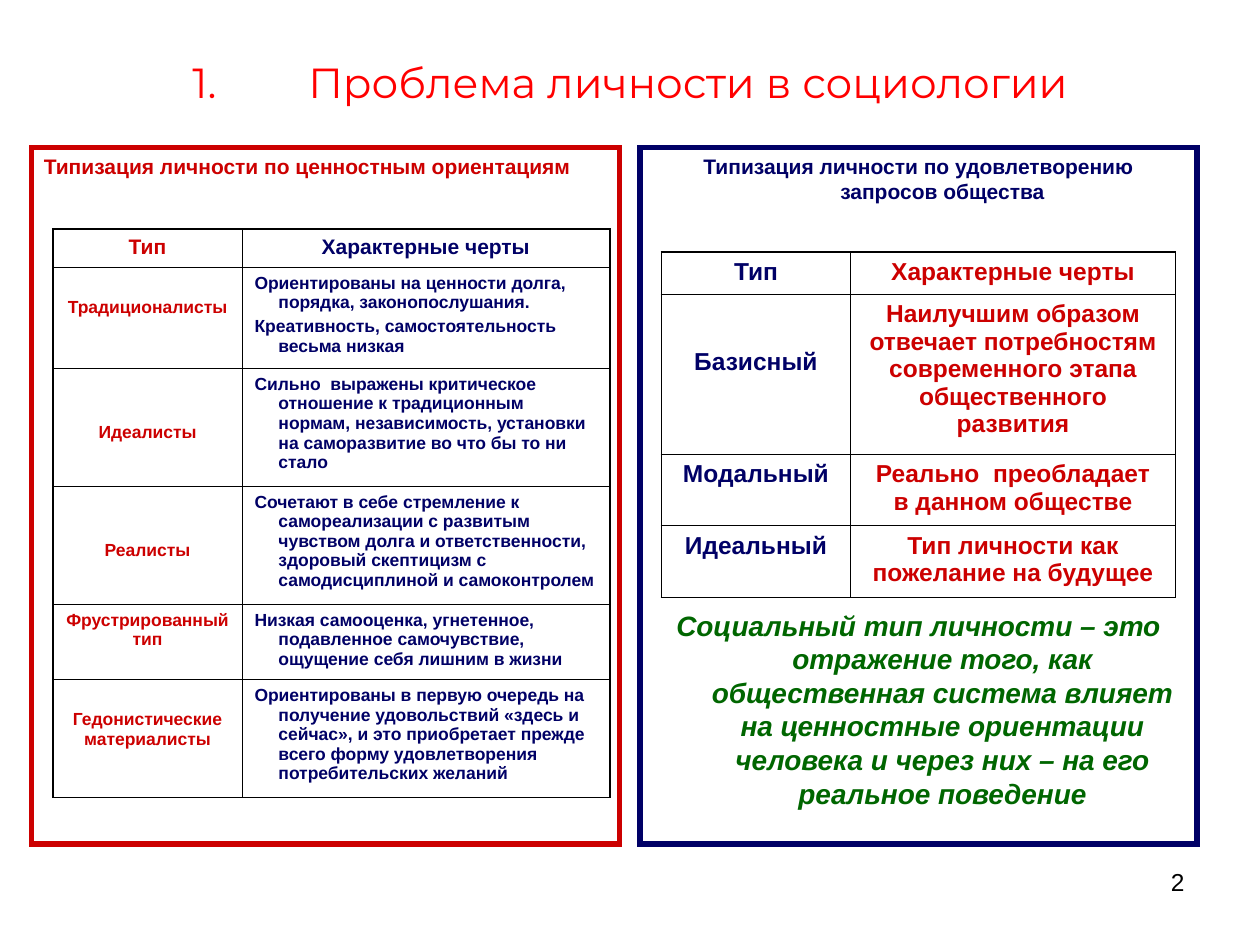
from lxml.etree import SubElement
from pptx import Presentation
from pptx.dml.color import RGBColor
from pptx.enum.shapes import MSO_SHAPE
from pptx.enum.text import MSO_ANCHOR, PP_ALIGN
from pptx.oxml.ns import qn
from pptx.util import Inches, Pt

RED, NAVY, GREEN, BLACK, TITLE_RED = "CC0000", "000066", "006600", "000000", "FF0000"
TITLE = "Проблема личности в социологии"
PAGE_NUMBER = "2"
SUMMARY = ("Социальный тип личности – это отражение того, как общественная система влияет "
           "на ценностные ориентации человека и через них – на его реальное поведение")
HEADER = ("Тип", ["Характерные черты"], 0)
VALUE_TYPES = [
    HEADER,
    ("Традиционалисты", ["Ориентированы на ценности долга, порядка, законопослушания.",
                         "Креативность, самостоятельность весьма низкая"], 1),
    ("Идеалисты", ["Сильно  выражены критическое отношение к традиционным нормам, "
                   "независимость, установки на саморазвитие во что бы то ни стало"], 2),
    ("Реалисты", ["Сочетают в себе стремление к самореализации с развитым чувством долга и "
                  "ответственности, здоровый скептицизм с самодисциплиной и самоконтролем"], 2),
    ("Фрустрированный тип", ["Низкая самооценка, угнетенное, подавленное самочувствие, "
                             "ощущение себя лишним в жизни"], 0),
    ("Гедонистические материалисты",
     ["Ориентированы в первую очередь на получение удовольствий «здесь и сейчас», "
      "и это приобретает прежде всего форму удовлетворения потребительских желаний"], 1),
]
SOCIETY_TYPES = [
    HEADER,
    ("Базисный", ["Наилучшим образом отвечает потребностям современного этапа "
                  "общественного развития"], 2),
    ("Модальный", ["Реально  преобладает", "в данном обществе"], 0),
    ("Идеальный", ["Тип личности как пожелание на будущее"], 0),
]
PANELS = [
    {"heading": "Типизация личности по ценностным ориентациям", "color": RED,
     "left": 0.25, "width": 4.67, "align": PP_ALIGN.LEFT, "summary": None,
     "rows": VALUE_TYPES, "table_at": (0.42, 1.82), "columns": (1.5, 2.92),
     "heights": (0.3, 0.8, 0.93, 0.93, 0.6, 0.93), "colors": (RED, NAVY),
     "header_size": 12, "size": 10, "hanging": 0.19, "gap": 2.5},
    {"heading": "Типизация личности по удовлетворению запросов общества", "color": NAVY,
     "left": 5.08, "width": 4.42, "align": PP_ALIGN.CENTER, "summary": SUMMARY,
     "rows": SOCIETY_TYPES, "table_at": (5.25, 2), "columns": (1.5, 2.58),
     "heights": (0.33, 1.27, 0.57, 0.57), "colors": (NAVY, RED),
     "header_size": 14, "size": 14, "hanging": 0, "gap": 0},
]
PANEL_TOP, PANEL_HEIGHT, SUMMARY_GAP = 1.17, 5.53, 231
CELL_INSET, LABEL_STEP = 0.05, 0.19
OUTER_LINE, INNER_LINE = 1.08, 0.45


def rgb(color):
    """Turn a hex string into a colour."""
    return RGBColor.from_string(color)


def write(paragraph, text, size, color, align, hanging=0, before=0,
          bold=True, italic=False, font="Arial"):
    """Fill one paragraph and format it."""
    paragraph.text = text
    paragraph.alignment = align
    paragraph.space_before = Pt(before)
    if hanging:
        properties = paragraph._p.get_or_add_pPr()
        properties.set("marL", str(Inches(hanging)))
        properties.set("indent", str(-Inches(hanging)))
    for run in paragraph.runs:
        run.font.size, run.font.name = Pt(size), font
        run.font.bold, run.font.italic = bold, italic
        run.font.color.rgb = rgb(color)


def add_text(slide, box, text, size, color, align, **style):
    """Add a wrapped text box and return its frame."""
    frame = slide.shapes.add_textbox(*map(Inches, box)).text_frame
    frame.word_wrap = True
    write(frame.paragraphs[0], text, size, color, align, bold=False, **style)
    return frame


def add_title(slide):
    """Add the numbered slide title."""
    frame = add_text(slide, (0.5, 0.3, 9, 0.7), TITLE, 24, TITLE_RED, PP_ALIGN.CENTER,
                     hanging=0.92, font="Montserrat")
    frame.vertical_anchor = MSO_ANCHOR.MIDDLE
    properties = frame.paragraphs[0]._p.get_or_add_pPr()
    bullet_color = SubElement(properties, qn("a:buClr"))
    SubElement(bullet_color, qn("a:srgbClr"), val=TITLE_RED)
    SubElement(properties, qn("a:buFont"), typeface="Montserrat")
    SubElement(properties, qn("a:buAutoNum"), type="arabicPeriod")


def add_panel(slide, panel):
    """Add an outlined panel with its heading and summary."""
    box = panel["left"], PANEL_TOP, panel["width"], PANEL_HEIGHT
    shape = slide.shapes.add_shape(MSO_SHAPE.RECTANGLE, *map(Inches, box))
    shape.shadow.inherit = False
    shape.fill.background()
    shape.line.color.rgb, shape.line.width = rgb(panel["color"]), Pt(3)
    SubElement(shape.line._get_or_add_ln(), qn("a:miter"), lim="800000")
    frame = shape.text_frame
    frame.word_wrap, frame.vertical_anchor = True, MSO_ANCHOR.TOP
    write(frame.paragraphs[0], panel["heading"], 12, panel["color"], panel["align"], 0.38)
    if panel["summary"]:
        write(frame.add_paragraph(), panel["summary"], 16, GREEN, panel["align"], 0.38,
              SUMMARY_GAP, italic=True)


def set_borders(cell, outer_sides):
    """Draw four cell borders, heavier on the table's outer sides."""
    properties = cell._tc.get_or_add_tcPr()
    for side in "LRTB":
        width = OUTER_LINE if side in outer_sides else INNER_LINE
        line = SubElement(properties, qn(f"a:ln{side}"), w=str(Pt(width)))
        fill = SubElement(line, qn("a:solidFill"))
        SubElement(fill, qn("a:srgbClr"), val=BLACK)


def add_types_table(slide, panel):
    """Add the table of personality types for a panel."""
    rows, widths, heights = panel["rows"], panel["columns"], panel["heights"]
    box = *panel["table_at"], sum(widths), sum(heights)
    table = slide.shapes.add_table(len(rows), 2, *map(Inches, box)).table
    table.first_row = table.horz_banding = False
    for column, width in zip(table.columns, widths):
        column.width = Inches(width)
    for index, (label, traits, steps) in enumerate(rows):
        table.rows[index].height = Inches(heights[index])
        size = panel["size"] if index else panel["header_size"]
        edges = "T" * (index == 0) + "B" * (index == len(rows) - 1)
        for number, texts in enumerate(([label], traits)):
            cell = table.cell(index, number)
            set_borders(cell, edges + "LR"[number])
            cell.fill.background()
            cell.margin_top = Inches(CELL_INSET + (0 if number else steps * LABEL_STEP))
            hanging = panel["hanging"] if index and number else 0
            align = PP_ALIGN.LEFT if hanging else PP_ALIGN.CENTER
            frame = cell.text_frame
            for position, text in enumerate(texts):
                paragraph = frame.add_paragraph() if position else frame.paragraphs[0]
                write(paragraph, text, size, panel["colors"][number], align, hanging,
                      panel["gap"] if position else 0)


def main():
    """Build and save the slide."""
    presentation = Presentation()
    presentation.slide_width, presentation.slide_height = Inches(10), Inches(7.5)
    slide = presentation.slides.add_slide(presentation.slide_layouts[6])
    add_text(slide, (7.17, 6.83, 2.33, 0.52), PAGE_NUMBER, 14, BLACK, PP_ALIGN.RIGHT)
    add_title(slide)
    for panel in PANELS:
        add_panel(slide, panel)
    for panel in PANELS:
        add_types_table(slide, panel)
    presentation.save("out.pptx")


if __name__ == "__main__":
    main()
